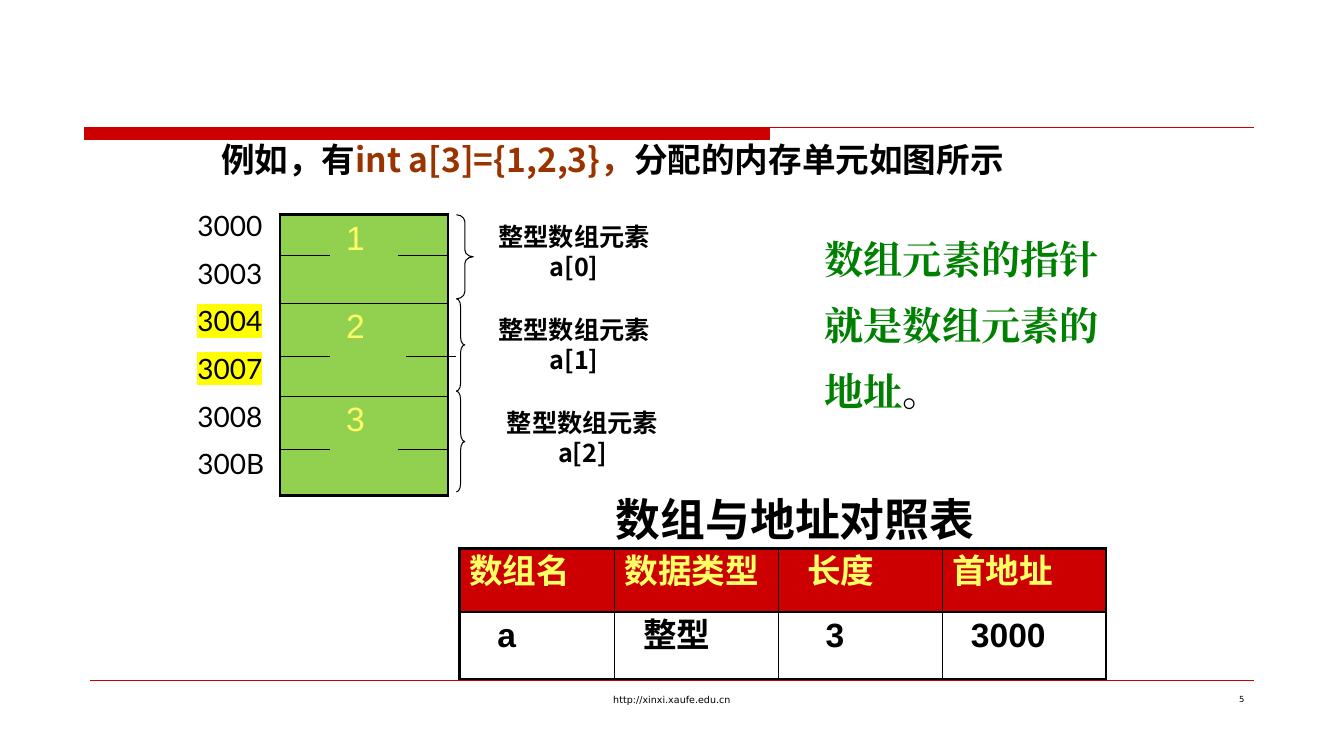
from dataclasses import dataclass

from lxml.etree import SubElement
from pptx import Presentation
from pptx.dml.color import RGBColor
from pptx.enum.shapes import MSO_CONNECTOR as Connector, MSO_SHAPE as Shape
from pptx.enum.text import MSO_ANCHOR as Anchor, PP_ALIGN as Align
from pptx.oxml.ns import qn
from pptx.util import Emu, Pt

COLORS = {
    "black": "000000", "red": "CC0000", "green": "92D050", "yellow": "FFFF66",
    "marker": "FFFF00", "brown": "993300", "dark_green": "008000",
}
CJK = "Noto Sans CJK SC"
WIDTH, HEIGHT = Emu(12192000), Emu(6858000)
COLUMNS, ROWS = 480, 270
THICK, THIN = 2.25, 1


@dataclass
class Span:
    text: str
    color: str = "black"
    bold: bool = True
    highlight: str = ""


@dataclass
class TextBox:
    left: float
    top: float
    width: float
    height: float
    lines: list[list[Span]]
    size: float
    font: str = CJK
    align: Align = Align.LEFT
    anchor: Anchor = Anchor.TOP
    wrap: bool = True
    gap: float = 0
    spacing: float = 1
    indent: float = 0


@dataclass
class Cell:
    text: str
    indent: float = 0
    color: str = "yellow"
    fill: str = ""
    bold: bool = True


@dataclass
class Grid:
    left: float
    top: float
    columns: list[float]
    rows: list[float]
    cells: list[list[Cell]]
    thin_first_right: bool = False


@dataclass
class Segment:
    left: float
    right: float
    y: float
    color: str = "black"
    weight: float = 0.75


@dataclass
class Brace:
    top: float
    width: float
    height: float
    curve: float


def across(columns: float) -> Emu:
    return Emu(round(WIDTH * columns / COLUMNS))


def down(rows: float) -> Emu:
    return Emu(round(HEIGHT * rows / ROWS))


def rgb(name: str) -> RGBColor:
    return RGBColor.from_string(COLORS[name])


def style_paragraph(paragraph, font: str, size: float, indent: float) -> None:
    properties = paragraph._p.get_or_add_pPr()
    properties.set("marL", str(across(indent)))
    properties.set("indent", "0")
    paragraph.font.size = Pt(size)
    paragraph.font.name = font
    SubElement(properties.find(qn("a:defRPr")), qn("a:ea"), typeface=font)


def style_font(font, color: str, bold: bool) -> None:
    font.color.rgb = rgb(color)
    font.bold = bold


def draw_text(slide, box: TextBox) -> None:
    shape = slide.shapes.add_textbox(
        across(box.left), down(box.top), across(box.width), down(box.height))
    frame = shape.text_frame
    frame.word_wrap = box.wrap
    frame.vertical_anchor = box.anchor
    for index, spans in enumerate(box.lines):
        paragraph = frame.add_paragraph() if index else frame.paragraphs[0]
        paragraph.alignment = box.align
        paragraph.line_spacing = box.spacing
        if index:
            paragraph.space_before = Pt(box.gap)
        style_paragraph(paragraph, box.font, box.size, box.indent)
        if len(spans) == 1:
            style_font(paragraph.font, spans[0].color, spans[0].bold)
        for span in spans:
            run = paragraph.add_run()
            run.text = span.text
            if len(spans) > 1:
                style_font(run.font, span.color, span.bold)
            if span.highlight:
                highlight = SubElement(run._r.get_or_add_rPr(), qn("a:highlight"))
                SubElement(highlight, qn("a:srgbClr"), val=COLORS[span.highlight])


def draw_borders(cell, weights: dict[str, float]) -> None:
    properties = cell._tc.get_or_add_tcPr()
    for index, (side, weight) in enumerate(weights.items()):
        border = properties.makeelement(qn(f"a:{side}"), {"w": str(Pt(weight))})
        fill = SubElement(border, qn("a:solidFill"))
        SubElement(fill, qn("a:srgbClr"), val=COLORS["black"])
        properties.insert(index, border)


def draw_grid(slide, grid: Grid) -> None:
    last_row, last_column = len(grid.rows) - 1, len(grid.columns) - 1
    table = slide.shapes.add_table(
        len(grid.rows), len(grid.columns), across(grid.left), down(grid.top),
        across(sum(grid.columns)), down(sum(grid.rows))).table
    table.first_row = table.horz_banding = False
    for column, width in zip(table.columns, grid.columns):
        column.width = across(width)
    for row, height in zip(table.rows, grid.rows):
        row.height = down(height)
    for r, row_cells in enumerate(grid.cells):
        for c, content in enumerate(row_cells):
            cell = table.cell(r, c)
            cell.text = content.text
            paragraph = cell.text_frame.paragraphs[0]
            style_paragraph(paragraph, "Arial", 24, content.indent)
            style_font(paragraph.font, content.color, content.bold)
            if content.fill:
                cell.fill.solid()
                cell.fill.fore_color.rgb = rgb(content.fill)
            else:
                cell.fill.background()
            thin_right = c < last_column or (grid.thin_first_right and r == 0)
            draw_borders(cell, {
                "lnL": THIN if c else THICK,
                "lnR": THIN if thin_right else THICK,
                "lnT": THIN if r else THICK,
                "lnB": THIN if r < last_row else THICK,
            })


def draw_segment(slide, segment: Segment) -> None:
    connector = slide.shapes.add_connector(
        Connector.STRAIGHT, across(segment.left), down(segment.y),
        across(segment.right), down(segment.y))
    connector.line.color.rgb = rgb(segment.color)
    connector.line.width = Pt(segment.weight)
    SubElement(connector._element.spPr, qn("a:effectLst"))


def draw_brace(slide, brace: Brace) -> None:
    shape = slide.shapes.add_shape(
        Shape.RIGHT_BRACE, across(163), down(brace.top),
        across(brace.width), down(brace.height))
    shape.adjustments[0] = brace.curve
    shape.shadow.inherit = False
    shape.fill.background()
    shape.line.color.rgb = rgb("black")
    shape.line.width = Pt(0.75)


def draw_title_bar(slide) -> None:
    left, middle, right = across(30.2), across(274.7), across(447.8)
    top, bottom = down(45.4), down(49.7)
    builder = slide.shapes.build_freeform(left, top)
    builder.add_line_segments([(middle, top), (middle, bottom), (left, bottom)])
    builder.move_to(left, top)
    builder.add_line_segments([(right, top)], close=False)
    shape = builder.convert_to_shape()
    shape.shadow.inherit = False
    shape.fill.solid()
    shape.fill.fore_color.rgb = shape.line.color.rgb = rgb("red")
    shape.line.width = Pt(0.75)


MEMORY = Grid(100, 76.7, [60], [31.7, 33.1, 35.6], [
    [Cell(value, 20, fill="green", bold=False)] for value in "123"], True)
LOOKUP = Grid(164, 195.8, [55.5, 58.5, 58.5, 58.5], [22.8, 24], [
    [Cell(text, indent, fill="red") for text, indent in
     [("数组名", 0), ("数据类型", 0), ("长度", 6.7), ("首地址", 0)]],
    [Cell(text, indent, "black") for text, indent in
     [("a", 10), ("整型", 6.7), ("3", 13.3), ("3000", 6.7)]]])
SEGMENTS = [Segment(32, 447.8, 243, "red", 0.25)] + [
    Segment(left, left + 18, y)
    for y, right_part in [(91.4, 142), (127.4, 145), (160.6, 142)]
    for left in (100, right_part)]
BRACES = [Brace(76.7, 6, 30, 0.42), Brace(106.7, 3, 33, 0.92), Brace(139.7, 3, 36, 1)]
ADDRESSES = ["3000", "3003", "3004", "3007", "3008", "300B"]
TEXTS = [
    TextBox(164, 246, 152, 18.7, [[Span("http://xinxi.xaufe.edu.cn", bold=False)]],
            6.8, "DejaVu Sans", Align.CENTER),
    TextBox(344, 246, 104, 18.7, [[Span("5", bold=False)]], 6, "DejaVu Sans", Align.RIGHT),
    TextBox(67, 72.7, 33, 106.6, [
        [Span(address, bold=False, highlight="marker" if address in ADDRESSES[2:4] else "")]
        for address in ADDRESSES], 20, "Lato", gap=10),
    *[TextBox(left, 82.4 + 33.1 * index, 66, 15, [[Span(f"整型数组元素a[{index}]")]],
              18, align=Align.CENTER, anchor=Anchor.MIDDLE, wrap=False)
      for index, left in enumerate([172, 172, 175])],
    TextBox(72.7, 47.9, 320.4, 18, [[
        Span("例如，有"), Span("int a[3]={1,2,3}，", "brown"), Span("分配的内存单元如图所示")]],
            24, indent=2.7),
    TextBox(200, 174.6, 168, 20.9, [[Span("数组与地址对照表")]], 32, "Lato",
            Align.CENTER, Anchor.MIDDLE, False),
    TextBox(291, 75.6, 105, 99.7, [[
        Span("数组元素的指针就是数组元素的地址", "dark_green"), Span("。", bold=False)]],
            28, "Times New Roman", spacing=1.4),
]


def main() -> None:
    presentation = Presentation()
    presentation.slide_width, presentation.slide_height = WIDTH, HEIGHT
    slide = presentation.slides.add_slide(presentation.slide_layouts[6])
    draw_title_bar(slide)
    for draw, items in [(draw_grid, [MEMORY, LOOKUP]), (draw_segment, SEGMENTS),
                        (draw_brace, BRACES), (draw_text, TEXTS)]:
        for item in items:
            draw(slide, item)
    presentation.save("out.pptx")


if __name__ == "__main__":
    main()
